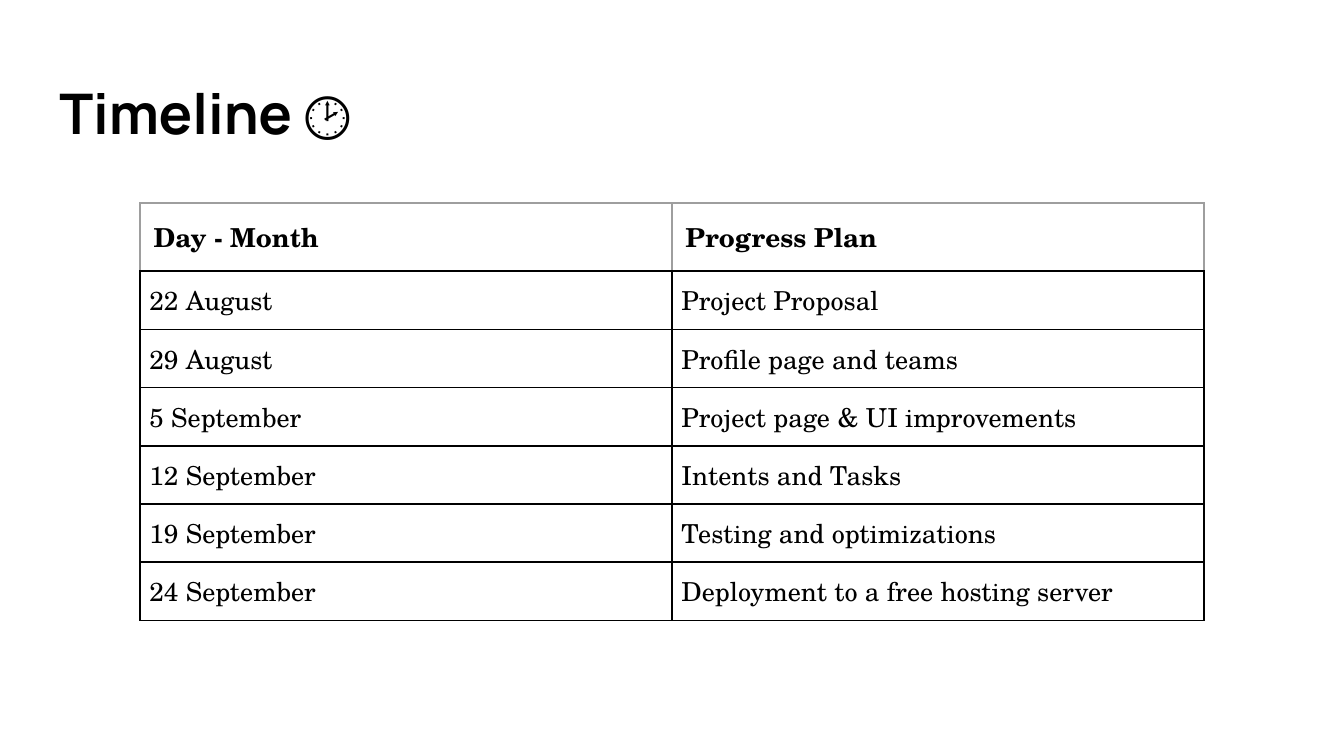
from pptx import Presentation
from pptx.dml.color import RGBColor
from pptx.enum.text import MSO_ANCHOR, MSO_AUTO_SIZE, PP_ALIGN
from pptx.oxml.ns import qn
from pptx.util import Inches, Pt
from lxml.etree import SubElement

ROWS = [
    ("Day - Month", "Progress Plan"),
    ("22 August", "Project Proposal"),
    ("29 August", "Profile page and teams"),
    ("5 September", "Project page & UI improvements"),
    ("12 September", "Intents and Tasks"),
    ("19 September", "Testing and optimizations"),
    ("24 September", "Deployment to a free hosting server"),
]


def color(code):
    return RGBColor.from_string(code)


class Deck:
    wide, high = 10, 10 * 9 / 16
    grid = 100
    ink, gray, paper = "000000", "9E9E9E", "FFFFFF"
    head, body = "Manrope", "TeX Gyre Schola"

    def __init__(self):
        self.file = Presentation()
        self.file.slide_width = Inches(self.wide)
        self.file.slide_height = Inches(self.high)
        self.slide = self.file.slides.add_slide(self.file.slide_layouts[5])
        fill = self.slide.background.fill
        fill.solid()
        fill.fore_color.rgb = color(self.paper)

    def across(self, cols):
        return Inches(self.wide * cols / self.grid)

    def down(self, rows):
        return Inches(self.high * rows / self.grid)

    def style(self, frame, face, size, bold):
        for para in frame.paragraphs:
            para.alignment = PP_ALIGN.LEFT
            for run in para.runs:
                run.font.name = face
                run.font.size = Pt(size)
                run.font.bold = bold
                run.font.color.rgb = color(self.ink)

    def inset(self, box, gap):
        box.margin_left = box.margin_right = Inches(gap)
        box.margin_top = box.margin_bottom = Inches(gap)

    def title(self, text, x, y, w, h):
        shape = self.slide.shapes.title
        shape.left, shape.top = self.across(x), self.down(y)
        shape.width, shape.height = self.across(w), self.down(h)
        frame = shape.text_frame
        frame.text = text
        frame.auto_size = MSO_AUTO_SIZE.NONE
        frame.vertical_anchor = MSO_ANCHOR.TOP
        self.inset(frame, 0.1)
        self.style(frame, self.head, 30, True)

    def border(self, cell, side, code, width):
        line = SubElement(cell._tc.get_or_add_tcPr(), qn("a:ln" + side), w=str(Pt(width)))
        fill = SubElement(line, qn("a:solidFill"))
        SubElement(fill, qn("a:srgbClr"), val=code)

    def cell(self, cell, text, top):
        cell.text = text
        cell.vertical_anchor = MSO_ANCHOR.MIDDLE
        self.inset(cell, 0.1 if top else 0.07)
        self.style(cell.text_frame, self.body, 14, top)
        for side in "LRTB":
            pale = top and side != "B"
            self.border(cell, side, self.gray if pale else self.ink, 0.75 if pale else 1)
        cell.fill.background()

    def table(self, rows, x, y, w, first, rest):
        count = len(rows)
        high = first + rest * (count - 1)
        table = self.slide.shapes.add_table(
            count, len(rows[0]), self.across(x), self.down(y), self.across(w), self.down(high)
        ).table
        table.first_row = table.horz_banding = False
        for r, row in enumerate(rows):
            table.rows[r].height = self.down(rest if r else first)
            for c, text in enumerate(row):
                self.cell(table.cell(r, c), text, r == 0)


def main():
    deck = Deck()
    deck.title("Timeline 🕑", 3.41, 8.65, 93.18, 12.11)
    deck.table(ROWS, 10.42, 26.86, 79.17, 9.02, 7.7)
    deck.file.save("out.pptx")


if __name__ == "__main__":
    main()
